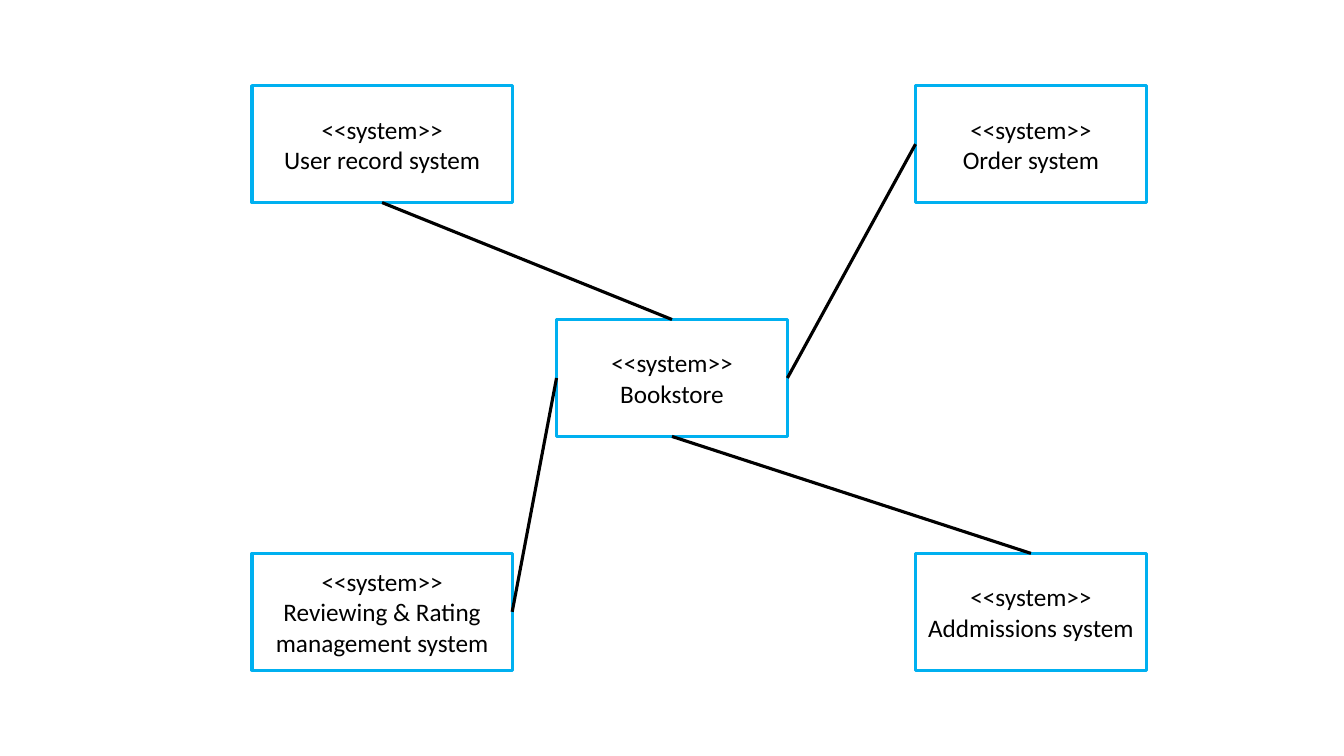
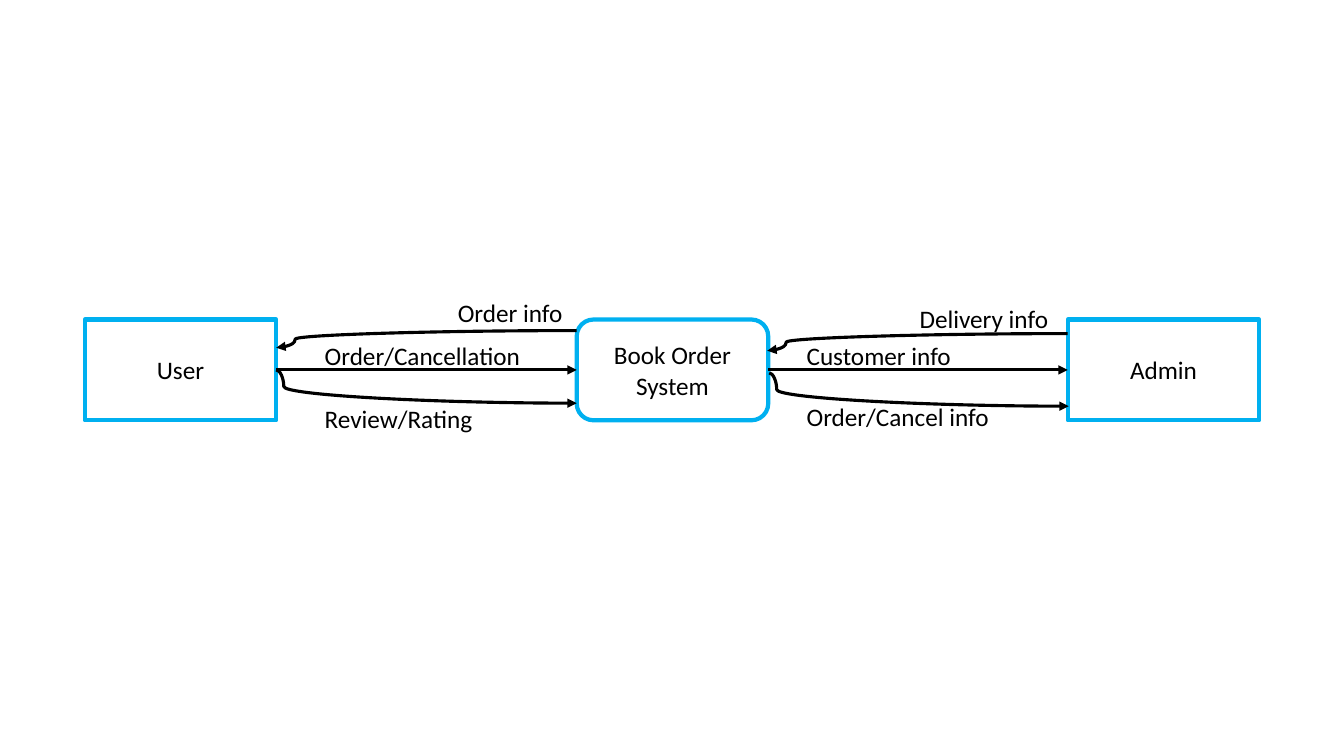
from lxml import etree
from pptx import Presentation
from pptx.dml.color import RGBColor
from pptx.enum import shapes, text
from pptx.oxml import ns
from pptx.util import Inches, Pt

BLUE, BLACK = "00B0F0", "000000"
FONT = {"name": "Calibri", "size": Pt(18)}
BOX_FRAME = {"word_wrap": True, "vertical_anchor": text.MSO_ANCHOR.MIDDLE}
LABEL_FRAME = {
    "margin_left": 0, "margin_top": 0, "margin_right": 0, "margin_bottom": 0,
    "word_wrap": False, "auto_size": text.MSO_AUTO_SIZE.SHAPE_TO_FIT_TEXT,
}
RECT = shapes.MSO_SHAPE.RECTANGLE
ROUNDED = shapes.MSO_SHAPE.ROUNDED_RECTANGLE
TOP, LEFT, BOTTOM, RIGHT = range(4)


def add_text(page, place, words, kind=None, border=0):
    """Add a centred, outlined box of the given kind, or a bare label without one."""
    place = [Inches(length) for length in place]
    if kind is None:
        box, frame_format, align = page.shapes.add_textbox(*place), LABEL_FRAME, text.PP_ALIGN.LEFT
    else:
        box, frame_format, align = page.shapes.add_shape(kind, *place), BOX_FRAME, text.PP_ALIGN.CENTER
        box.shadow.inherit = False
        box.fill.background()
        box.line.color.rgb = RGBColor.from_string(BLUE)
        box.line.width = Pt(border)
    frame = box.text_frame
    frame.text = words
    for name, value in frame_format.items():
        setattr(frame, name, value)
    for para in frame.paragraphs:
        para.alignment = align
        for span in para.runs:
            span.font.color.rgb = RGBColor.from_string(BLACK)
            for name, value in FONT.items():
                setattr(span.font, name, value)
    return box


def add_line(page, start=(0, 0), end=(0, 0), bend=None, arrow=False):
    """Add a line; bend is the share of its width at which a curve turns."""
    kind = shapes.MSO_CONNECTOR.STRAIGHT if bend is None else shapes.MSO_CONNECTOR.CURVE
    line = page.shapes.add_connector(kind, *[Inches(length) for length in (*start, *end)])
    line.line.color.rgb = RGBColor.from_string(BLACK)
    line.line.width = Pt(2.25)
    properties = line._element.spPr
    etree.SubElement(properties, ns.qn("a:effectLst"))
    if arrow:
        etree.SubElement(line.line._get_or_add_ln(), ns.qn("a:tailEnd"), type="triangle")
    if bend is not None:
        guides = properties.find(ns.qn("a:prstGeom")).get_or_add_avLst()
        etree.SubElement(guides, ns.qn("a:gd"), name="adj1", fmla=f"val {round(bend * 100000)}")
    return line


deck = Presentation()
deck.slide_width, deck.slide_height = Inches(13.33), Inches(7.5)
blank = deck.slide_layouts[6]

# Slide 1: the bookstore and its neighbouring systems
page = deck.slides.add_slide(blank)
ROW_TOP, ROW_STEP, SYSTEM_HEIGHT = 0.85, 2.32, 1.16
SYSTEMS = [  # left, row, width, name, side of the bookstore, side of this system
    (5.52, 1, 2.29, "Bookstore", None, None),
    (2.5, 0, 2.58, "User record system", TOP, BOTTOM),
    (2.5, 2, 2.58, "Reviewing & Rating\nmanagement system", LEFT, RIGHT),
    (9.08, 2, 2.29, "Addmissions system", BOTTOM, TOP),
    (9.08, 0, 2.29, "Order system", RIGHT, LEFT),
]
systems = [
    add_text(page, (left, ROW_TOP + row * ROW_STEP, width, SYSTEM_HEIGHT),
             f"<<system>>\n{name}", RECT, 2.25)
    for left, row, width, name, *sides in SYSTEMS
]
bookstore = systems[0]
for system, (*place, store_side, system_side) in zip(systems[1:], SYSTEMS[1:]):
    link = add_line(page)
    link.begin_connect(bookstore, store_side)
    link.end_connect(system, system_side)

# Slide 2: data flows between user, order system and admin
page = deck.slides.add_slide(blank)
ACTORS = [(0.84, RECT, "User"), (5.72, ROUNDED, "Book Order System"), (10.59, RECT, "Admin")]
actors = [add_text(page, (left, 3.17, 1.9, 1), name, kind, 3) for left, kind, name in ACTORS]
for source, target in zip(actors, actors[1:]):
    flow = add_line(page, arrow=True)
    flow.begin_connect(source, RIGHT)
    flow.end_connect(target, LEFT)

CURVES = [  # start, end, bend
    ((2.74, 3.67), (5.72, 4), 0.025),
    ((5.72, 3.28), (2.74, 3.45), 0.937),
    ((7.63, 3.7), (10.6, 4.03), 0.025),
    ((10.59, 3.31), (7.61, 3.48), 0.937),
]
for start, end, bend in CURVES:
    add_line(page, start, end, bend, arrow=True)

LABELS = [  # left, top, width, words
    (4.54, 2.95, 1.11, "Order info"),
    (3.22, 3.38, 2.11, "Order/Cancellation"),
    (3.22, 4, 1.62, "Review/Rating"),
    (9.12, 3.01, 1.38, "Delivery info"),
    (8, 3.38, 1.59, "Customer info"),
    (8, 3.98, 2.05, "Order/Cancel info"),
]
for left, top, width, words in LABELS:
    add_text(page, (left, top, width, 0.3), words)

deck.save("out.pptx")
